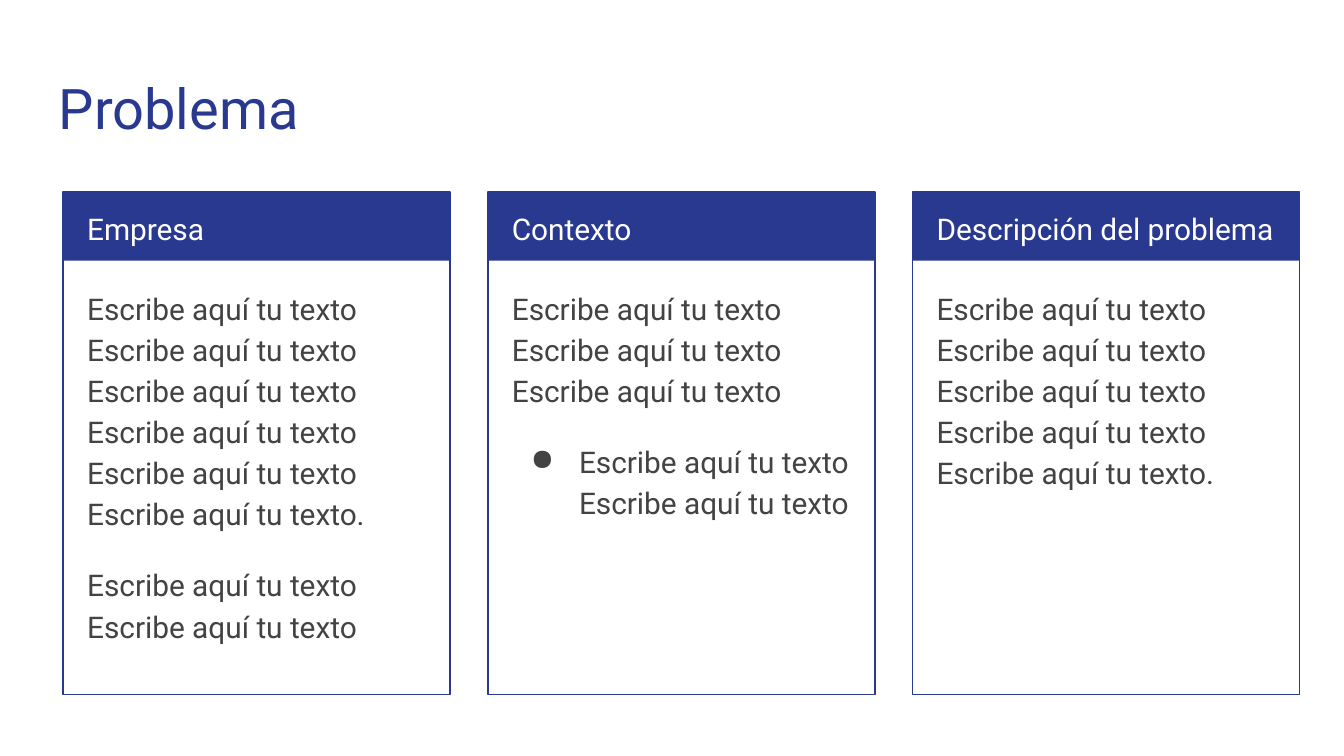
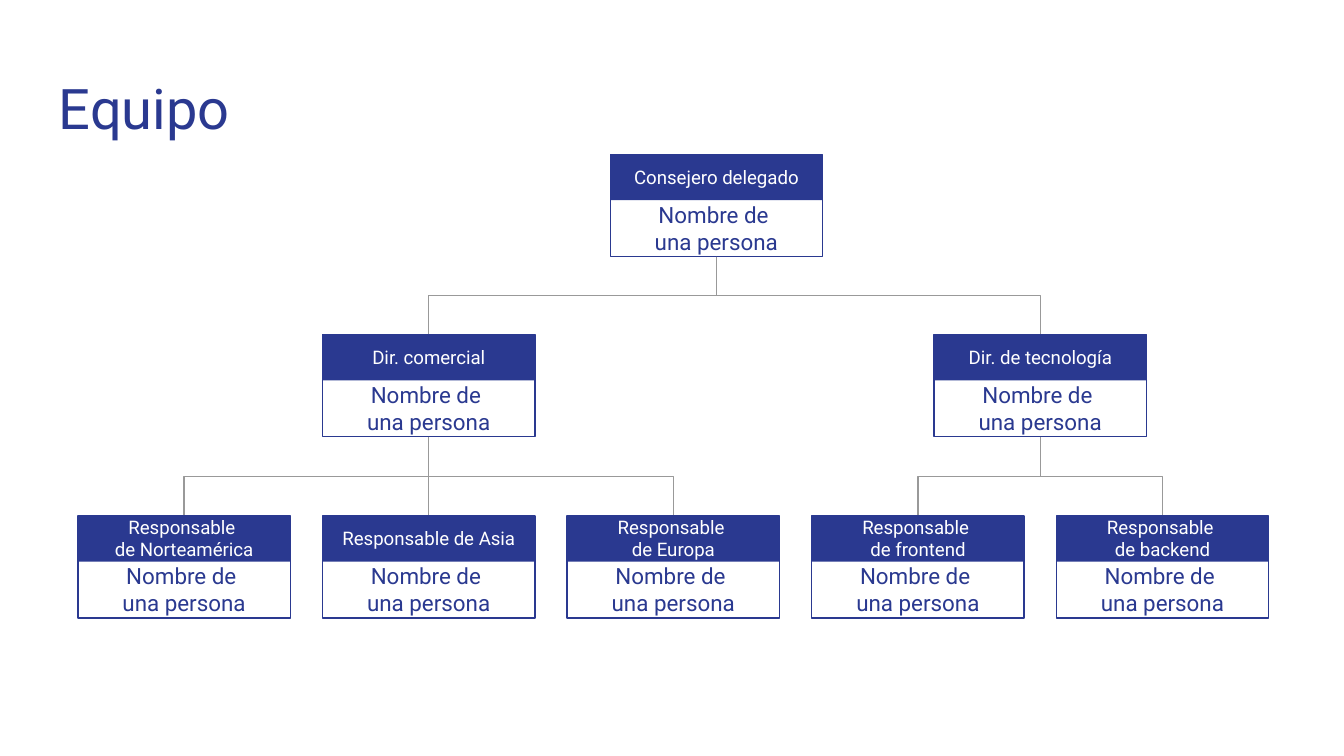
"""Build the problem slide and the team slide."""
from copy import deepcopy

from lxml.etree import SubElement
from pptx import Presentation
from pptx.dml.color import RGBColor
from pptx.enum.shapes import MSO_CONNECTOR, MSO_SHAPE
from pptx.enum.text import MSO_ANCHOR, PP_ALIGN
from pptx.oxml.ns import qn
from pptx.util import Emu, Pt

BLUE, WHITE, DARK, GREY = "2A3990", "FFFFFF", "434343", "999999"
FONT = "Roboto"
LINE = "Escribe aquí tu texto"
PERSON = "Nombre de \nuna persona"


def px(n):
    return Emu(int(n * 9144))


def rgb(value):
    return RGBColor.from_string(value)


class Deck:
    def __init__(self):
        self.prs = Presentation()
        self.prs.slide_width = px(1000)
        self.prs.slide_height = px(1000 * 9 / 16)
        self.s = None

    def slide(self, title):
        self.s = self.prs.slides.add_slide(self.prs.slide_layouts[6])
        self.text(34, 45, 932, 66, [title], 30, BLUE)

    def rect(self, x, y, w, h, fill=None, line=None):
        sp = self.s.shapes.add_shape(MSO_SHAPE.RECTANGLE, px(x), px(y), px(w), px(h))
        sp.shadow.inherit = False
        if fill:
            sp.fill.solid()
            sp.fill.fore_color.rgb = rgb(fill)
        else:
            sp.fill.background()
        if line:
            sp.line.color.rgb = rgb(line)
            sp.line.width = Pt(0.75)
        else:
            sp.line.fill.background()

    def text(self, x, y, w, h, paragraphs, size, color, spacing=1.0, centred=False):
        tf = self.s.shapes.add_textbox(px(x), px(y), px(w), px(h)).text_frame
        tf.word_wrap = True
        tf.margin_left = tf.margin_right = tf.margin_top = tf.margin_bottom = px(10)
        tf.vertical_anchor = MSO_ANCHOR.MIDDLE if centred else MSO_ANCHOR.TOP
        for i, content in enumerate(paragraphs):
            p = tf.add_paragraph() if i else tf.paragraphs[0]
            p.text = content
            p.alignment = PP_ALIGN.CENTER if centred else PP_ALIGN.LEFT
            p.line_spacing = spacing
            if i:
                p.space_before = Pt(16)
            for r in p.runs:
                r.font.name, r.font.size = FONT, Pt(size)
                r.font.color.rgb = rgb(color)
            for br in p._p.findall(qn("a:br")):
                br.append(deepcopy(p.runs[0]._r.rPr))
        return tf

    def bullet(self, p, color):
        pPr = p._p.get_or_add_pPr()
        pPr.set("marL", str(px(50)))
        pPr.set("indent", str(px(-36)))
        SubElement(SubElement(pPr, qn("a:buClr")), qn("a:srgbClr"), val=color)
        SubElement(pPr, qn("a:buChar"), char="●")

    def link(self, x1, y1, x2, y2):
        if x1 == x2:
            kind, ends, rot = MSO_CONNECTOR.STRAIGHT, (x1, y1, x2, y2), 0
        else:
            cx, cy = (x1 + x2) / 2, (y1 + y2) / 2
            dx, dy = abs(x2 - x1) / 2, (y2 - y1) / 2
            rot = 90 if x2 < x1 else 270
            if x2 > x1:
                dy = -dy
            kind, ends = MSO_CONNECTOR.ELBOW, (cx - dy, cy - dx, cx + dy, cy + dx)
        c = self.s.shapes.add_connector(kind, *map(px, ends))
        c.line.color.rgb = rgb(GREY)
        c.line.width = Pt(0.75)
        spPr = c._element.spPr
        SubElement(spPr, qn("a:effectLst"))
        if rot:
            spPr.find(qn("a:xfrm")).set("rot", str(rot * 60000))

    def card(self, x, heading, paragraphs):
        y, w = 143, 288
        self.rect(x, y, w, 51, fill=BLUE)
        self.rect(x, y, w, 374, line=BLUE)
        self.text(x + 8, y, 273, 50, [heading], 16, WHITE, 1.15)
        return self.text(x + 8, y + 59, 271, 306, paragraphs, 16, DARK, 1.15)

    def member(self, x, y, role):
        w = 158
        self.rect(x, y, w, 76, line=BLUE)
        self.rect(x, y, w, 34, fill=BLUE)
        self.text(x, y + 6, w, 21, [role], 10, WHITE, centred=True)
        self.text(x, y + 44, w, 21, [PERSON], 12, BLUE, centred=True)

    def report(self, boss, staff):
        self.link(boss[0] + 79, boss[1] + 76, staff[0] + 79, staff[1])


def lines(n, end=""):
    return " ".join([LINE] * n) + end


def problem(deck):
    deck.slide("Problema")
    cards = [
        ("Empresa", [lines(6, "."), lines(2)]),
        ("Contexto", [lines(3), lines(2)]),
        ("Descripción del problema", [lines(5, ".")]),
    ]
    bodies = [deck.card(47 + 316 * i, *card) for i, card in enumerate(cards)]
    deck.bullet(bodies[1].paragraphs[1], DARK)


def team(deck):
    deck.slide("Equipo")
    directors = [
        ("Dir. comercial", ["Responsable \nde Norteamérica", "Responsable de Asia",
                            "Responsable \nde Europa"]),
        ("Dir. de tecnología", ["Responsable \nde frontend", "Responsable \nde backend"]),
    ]
    chief = (454, 115)
    deck.member(*chief, "Consejero delegado")
    left, step = 58, 182
    for role, managers in directors:
        director = (left + step * (len(managers) - 1) // 2, 249)
        deck.report(chief, director)
        deck.member(*director, role)
        for manager in managers:
            place = (left, 384)
            deck.report(director, place)
            deck.member(*place, manager)
            left += step


def main():
    deck = Deck()
    problem(deck)
    team(deck)
    deck.prs.save("out.pptx")


if __name__ == "__main__":
    main()
